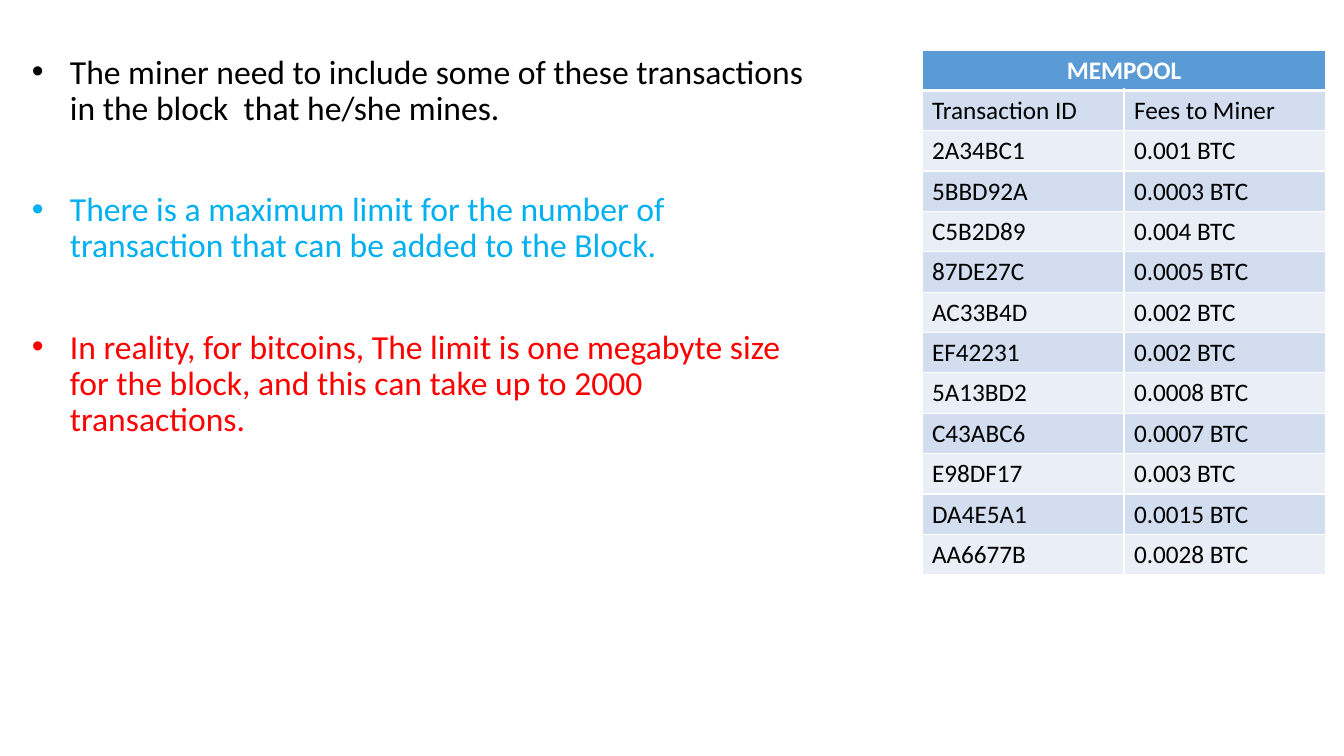
import dataclasses

import lxml.etree
import pptx
import pptx.dml.color
import pptx.enum.text
import pptx.oxml.ns
import pptx.util


@dataclasses.dataclass
class Theme:
    font: str = "Calibri"
    black: str = "000000"
    white: str = "FFFFFF"
    blue: str = "00B0F0"
    red: str = "FF0000"
    head: str = "5B9BD5"
    dark: str = "D2DEEF"
    light: str = "EAEFF7"
    body: int = 24
    cell: int = 18


def px(num):
    return pptx.util.Emu(round(num * 914400 / 100.8))


def rgb(color):
    return pptx.dml.color.RGBColor.from_string(color)


def node(parent, tag, **attrs):
    name = pptx.oxml.ns.qn("a:" + tag)
    return lxml.etree.SubElement(parent, name, attrs)


def write(para, text, *, font, size, color, bold=False, align="LEFT"):
    para.alignment = pptx.enum.text.PP_ALIGN[align]
    run = para.add_run()
    run.text = text
    run.font.name = font
    run.font.size = pptx.util.Pt(size)
    run.font.bold = bold
    run.font.color.rgb = rgb(color)


class Page:
    def __init__(self, slide, theme):
        self.slide = slide
        self.theme = theme

    def bullets(self, x, y, w, h, items, indent=38, gap=46.4):
        box = self.slide.shapes.add_textbox(px(x), px(y), px(w), px(h))
        frame = box.text_frame
        frame.word_wrap = True
        for num, (text, color) in enumerate(items):
            para = frame.add_paragraph() if num else frame.paragraphs[0]
            para.line_spacing = 0.9
            para.space_before = pptx.util.Pt(gap if num else 0)
            props = para._p.get_or_add_pPr()
            props.set("marL", str(px(indent)))
            props.set("indent", str(-px(indent)))
            node(node(props, "buClr"), "srgbClr", val=color)
            node(props, "buFont", typeface="Arial")
            node(props, "buChar", char="•")
            write(para, text, font=self.theme.font,
                  size=self.theme.body, color=color)

    def border(self, cell, **widths):
        props = cell._tc.get_or_add_tcPr()
        for side in "LRTB":
            width = pptx.util.Pt(widths.get(side, 1))
            line = node(props, "ln" + side, w=str(width))
            fill = node(line, "solidFill")
            node(fill, "srgbClr", val=self.theme.white)

    def table(self, x, y, w, title, rows, pitch=40):
        theme = self.theme
        count = len(rows) + 1
        frame = self.slide.shapes.add_table(
            count, 2, px(x), px(y), px(w), px(pitch * count))
        grid = frame.table
        for row in grid.rows:
            row.height = px(pitch)
        for r, row in enumerate([(title, ""), *rows]):
            for c, text in enumerate(row):
                cell = grid.cell(r, c)
                self.border(cell, T=3 if r == 1 else 1, B=1 if r else 3)
                cell.fill.solid()
                shade = theme.dark if r % 2 else theme.light
                cell.fill.fore_color.rgb = rgb(shade if r else theme.head)
                if text:
                    write(cell.text_frame.paragraphs[0], text,
                          font=theme.font, size=theme.cell, bold=r == 0,
                          color=theme.black if r else theme.white,
                          align="LEFT" if r else "CENTER")
        grid.cell(0, 0).merge(grid.cell(0, 1))


def main():
    deck = pptx.Presentation()
    deck.slide_width, deck.slide_height = px(1344), px(756)
    theme = Theme()
    page = Page(deck.slides.add_slide(deck.slide_layouts[6]), theme)

    page.bullets(22, 50, 795, 655, [
        ("The miner need to include some of these transactions "
         "in the block  that he/she mines.", theme.black),
        ("There is a maximum limit for the number of "
         "transaction that can be added to the Block.", theme.blue),
        ("In reality, for bitcoins, The limit is one megabyte size "
         "for the block, and this can take up to 2000 transactions.",
         theme.red),
    ])

    fees = [
        ("2A34BC1", "0.001"),
        ("5BBD92A", "0.0003"),
        ("C5B2D89", "0.004"),
        ("87DE27C", "0.0005"),
        ("AC33B4D", "0.002"),
        ("EF42231", "0.002"),
        ("5A13BD2", "0.0008"),
        ("C43ABC6", "0.0007"),
        ("E98DF17", "0.003"),
        ("DA4E5A1", "0.0015"),
        ("AA6677B", "0.0028"),
    ]
    rows = [("Transaction ID", "Fees to Miner")]
    rows += [(code, fee + " BTC") for code, fee in fees]
    page.table(922, 50, 404, "MEMPOOL", rows)

    deck.save("out.pptx")


if __name__ == "__main__":
    main()
